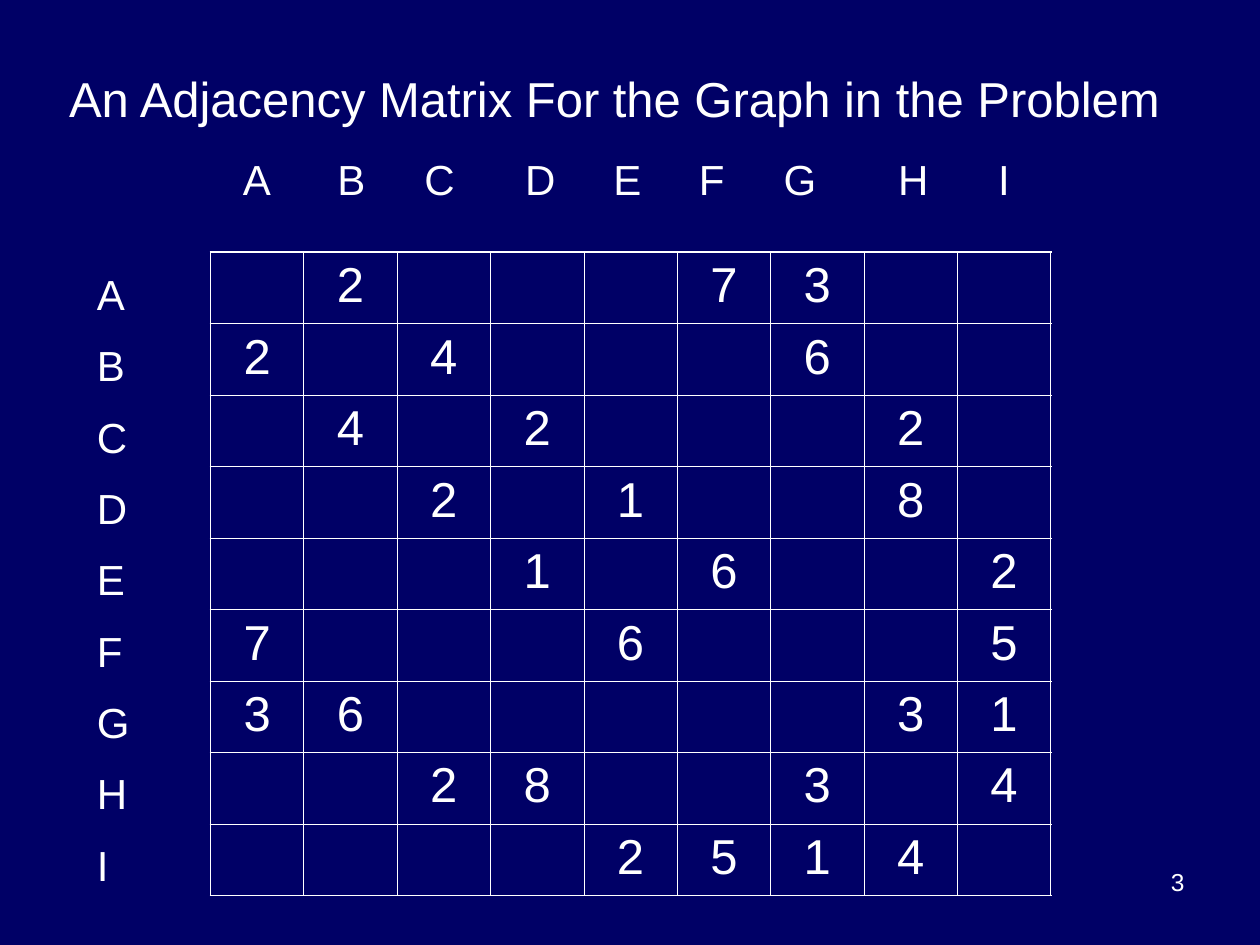
from pptx import Presentation
from pptx import util as u
from pptx.dml.color import RGBColor
from pptx.enum import text
from pptx.oxml.ns import qn
from lxml import etree

NAVY = "000066"
WHITE = "FFFFFF"
FONT = "Arial"
VERTICES = "ABCDEFGHI"
# Horizontal centre of each column letter, from the text edge
LETTER_CENTRES = [0.27, 1.02, 1.72, 2.52, 3.21, 3.88, 4.58, 5.48, 6.2]
# Weight of each edge, one string per vertex; a dot means no edge
WEIGHTS = [
    ".2...73..",
    "2.4...6..",
    ".4.2...2.",
    "..2.1..8.",
    "...1.6..2",
    "7...6...5",
    "36.....31",
    "..28..3.4",
    "....2514.",
]
THICK, THIN = 1.08, 0.45


def colour(value):
    return RGBColor.from_string(value)


def style(paragraph, size, align):
    paragraph.alignment = align
    for run in paragraph.runs:
        run.font.name = FONT
        run.font.size = u.Pt(size)
        run.font.color.rgb = colour(WHITE)


def add_text(slide, box, words, size, align=text.PP_ALIGN.LEFT,
             anchor=text.MSO_ANCHOR.TOP):
    frame = slide.shapes.add_textbox(*map(u.Inches, box)).text_frame
    frame.word_wrap = True
    frame.vertical_anchor = anchor
    frame.text = words
    for paragraph in frame.paragraphs:
        style(paragraph, size, align)
    return frame


def add_centre_tabs(paragraph, centres):
    tabs = etree.SubElement(paragraph._p.get_or_add_pPr(), qn("a:tabLst"))
    for centre in centres:
        etree.SubElement(tabs, qn("a:tab"), pos=str(u.Inches(centre)), algn="ctr")


def set_borders(cell, widths):
    properties = cell._tc.get_or_add_tcPr()
    for index, (side, width) in enumerate(widths.items()):
        line = etree.Element(qn("a:ln" + side), w=str(u.Pt(width)))
        fill = etree.SubElement(line, qn("a:solidFill"))
        etree.SubElement(fill, qn("a:srgbClr"), val=WHITE)
        properties.insert(index, line)


def add_matrix(slide, box, weights):
    count = len(weights)
    matrix = slide.shapes.add_table(count, count, *map(u.Inches, box)).table
    matrix.first_row = matrix.horz_banding = False
    last = count - 1
    for row, line in enumerate(weights):
        for column, weight in enumerate(line):
            cell = matrix.cell(row, column)
            cell.fill.background()
            outer = {"L": column == 0, "R": column == last,
                     "T": row == 0, "B": row == last}
            set_borders(cell, {side: THICK if edge else THIN
                               for side, edge in outer.items()})
            if weight != ".":
                cell.text = weight
                style(cell.text_frame.paragraphs[0], 28, text.PP_ALIGN.CENTER)


def main():
    deck = Presentation()
    deck.slide_width, deck.slide_height = u.Inches(10), u.Inches(7.5)
    slide = deck.slides.add_slide(deck.slide_layouts[6])
    slide.background.fill.solid()
    slide.background.fill.fore_color.rgb = colour(NAVY)

    # Title
    add_text(slide, (0, 0.3, 9.75, 0.95),
             "An Adjacency Matrix For the Graph in the Problem", 28,
             text.PP_ALIGN.CENTER, text.MSO_ANCHOR.MIDDLE)

    # Row letters
    row_letters = add_text(slide, (0.67, 2.08, 0.75, 5.04), "\n".join(VERTICES), 24)
    for index, paragraph in enumerate(row_letters.paragraphs):
        paragraph.line_spacing = u.Pt(28.8)
        paragraph.space_before = u.Pt(12 if index else 0)

    # Weights
    add_matrix(slide, (1.67, 2, 6.67, 5.09), WEIGHTS)

    # Column letters
    column_letters = add_text(slide, (1.67, 1.17, 6.58, 0.5),
                              "".join("\t" + vertex for vertex in VERTICES), 24)
    heading = column_letters.paragraphs[0]
    add_centre_tabs(heading, LETTER_CENTRES)
    heading.line_spacing = u.Pt(28.8)

    # Slide number
    add_text(slide, (7.17, 6.83, 2.33, 0.52), "3", 14, text.PP_ALIGN.RIGHT)

    deck.save("out.pptx")


if __name__ == "__main__":
    main()
